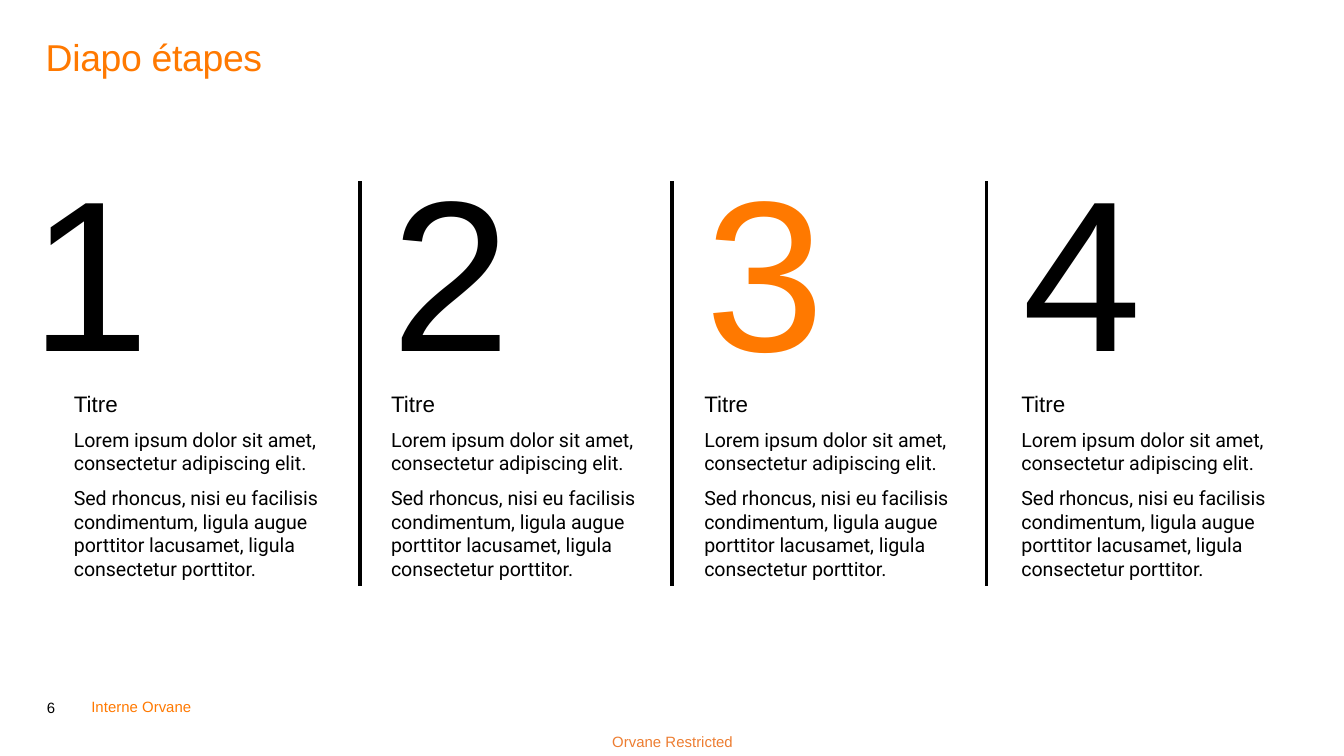
from pptx import Presentation
from pptx.dml.color import RGBColor
from pptx.enum.shapes import MSO_CONNECTOR
from pptx.enum.text import MSO_ANCHOR, PP_ALIGN
from pptx.oxml.ns import qn
from pptx.util import Inches, Pt
from lxml import etree

STRAIGHT = MSO_CONNECTOR.STRAIGHT
TOP, MIDDLE, BOTTOM = MSO_ANCHOR.TOP, MSO_ANCHOR.MIDDLE, MSO_ANCHOR.BOTTOM
LEFT, CENTER = PP_ALIGN.LEFT, PP_ALIGN.CENTER

BLACK, ORANGE, FOOTER_ORANGE = "000000", "FF7900", "ED7D31"


def rgb(value):
    return RGBColor.from_string(value)


def add_text(box, lines, align=LEFT, anchor=TOP, wrap=True):
    """Add a text box; each line is (text, size, colour, font, space before)."""
    frame = slide.shapes.add_textbox(*[Inches(n) for n in box]).text_frame
    frame.margin_left = frame.margin_right = 0
    frame.margin_top = frame.margin_bottom = 0
    frame.word_wrap = wrap
    frame.vertical_anchor = anchor
    frame.text = "\n".join(line[0] for line in lines)
    for paragraph, (_, size, color, font, before) in zip(frame.paragraphs, lines):
        paragraph.alignment = align
        if before:
            paragraph.space_before = Pt(before)
        for run in paragraph.runs:
            run.font.size = Pt(size)
            run.font.name = font
            run.font.color.rgb = rgb(color)
    return frame


# Slide in 16:9
prs = Presentation()
prs.slide_width = Inches(10)
prs.slide_height = Inches(10 * 9 / 16)
slide = prs.slides.add_slide(prs.slide_layouts[6])

# Title
title = add_text((0.34, 0.29, 9.31, 0.81), [("Diapo étapes", 20, ORANGE, "Arial", 0)])
title.paragraphs[0].line_spacing = 0.9
title.paragraphs[0].runs[0].font._element.set("spc", "-20")

# Footer
page_number = add_text((0.34, 4.96, 0.3, 0.37), [("6", 8, BLACK, "Arial", 0)],
                       anchor=BOTTOM)
page_number.margin_left = Inches(0.01)
page_number.paragraphs[0].line_spacing = 0.85
page_number.paragraphs[0].space_after = Pt(12)
add_text((4.38, 5.4, 1.25, 0.23), [("Orvane Restricted", 8, FOOTER_ORANGE, "Arial", 0)],
         CENTER, MIDDLE)
add_text((0.68, 5.19, 0.81, 0.13), [("Interne Orvane", 8, ORANGE, "Arial", 0)],
         wrap=False)

# Steps: left of the number, left of the text, colour of the number
steps = [
    (0.22, 0.55, BLACK),
    (2.91, 2.91, BLACK),
    (5.24, 5.24, ORANGE),
    (7.6, 7.6, BLACK),
]
step_text = [
    ("Titre", 12, BLACK, "Arial", 0),
    ("Lorem ipsum dolor sit amet, consectetur adipiscing elit.",
     10.5, BLACK, "Roboto", 6),
    ("Sed rhoncus, nisi eu facilisis condimentum, ligula augue porttitor "
     "lacusamet, ligula consectetur porttitor.", 10.5, BLACK, "Roboto", 6),
]
for step, (number_left, text_left, number_color) in enumerate(steps, 1):
    add_text((text_left, 2.9, 1.85, 1.43), step_text)
    add_text((number_left, 1.02, 0.9, 1.94),
             [(str(step), 115, number_color, "Arial", 0)], CENTER, wrap=False)

# Dividers between the steps
for x in (2.68, 5, 7.34):
    divider = slide.shapes.add_connector(STRAIGHT, Inches(x), Inches(1.35),
                                         Inches(x), Inches(4.36))
    divider.line.color.rgb = rgb(BLACK)
    divider.line.width = Pt(2)
    etree.SubElement(divider._element.spPr, qn("a:effectLst"))

prs.save("out.pptx")
